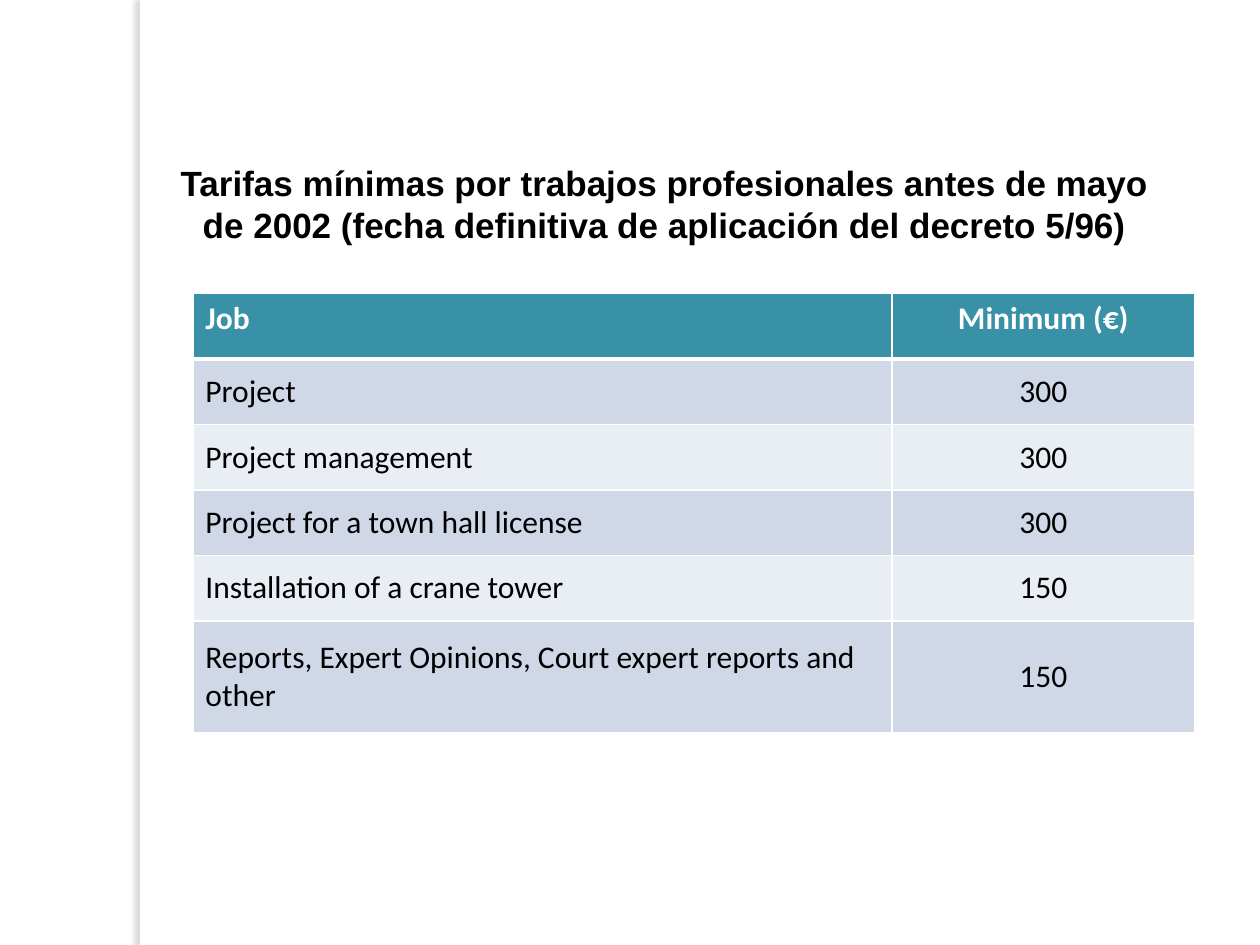
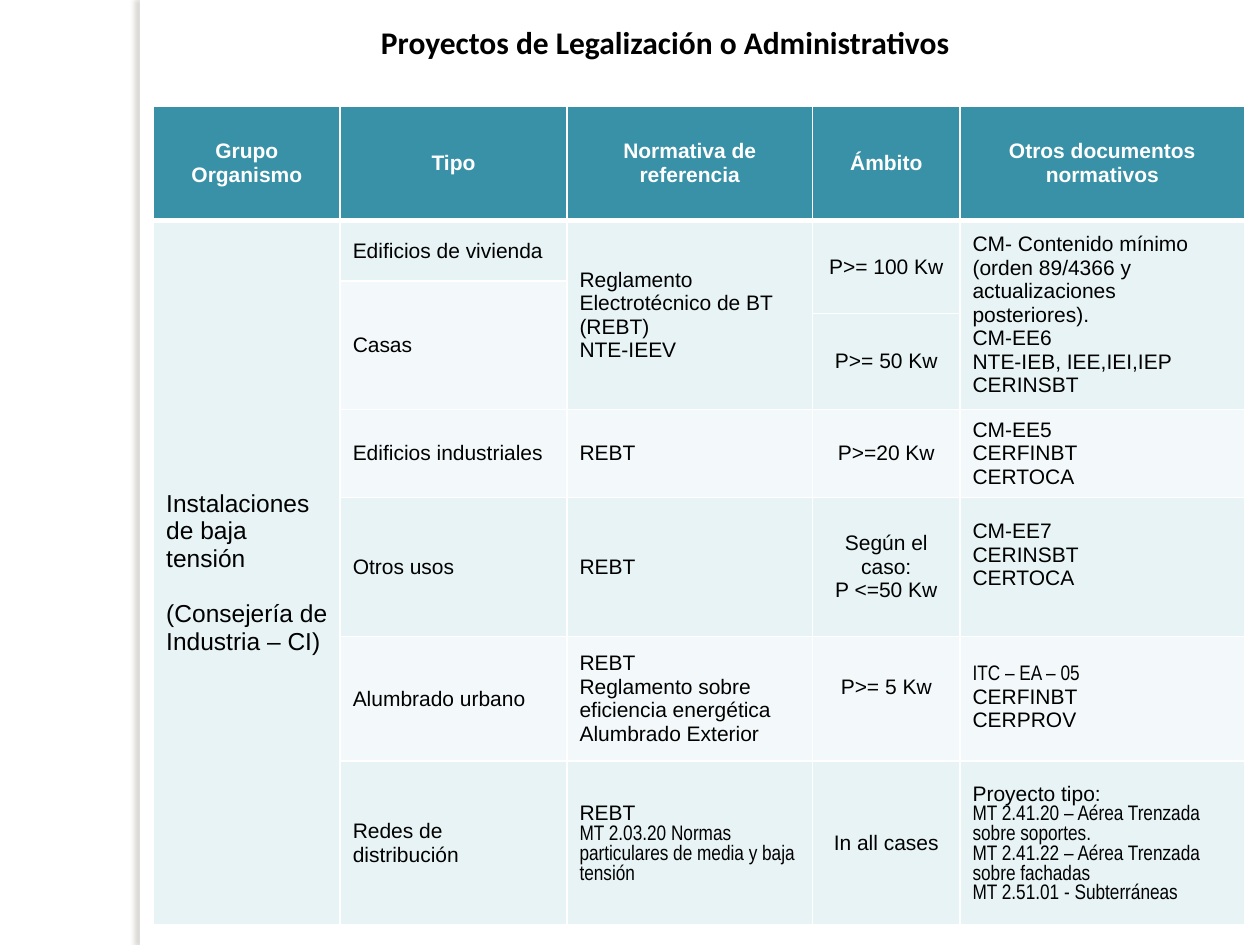
import pptx
import pptx.util
import pptx.dml.color
import pptx.enum.shapes
import pptx.enum.text
import lxml.etree
from dataclasses import dataclass

Pt = pptx.util.Pt
ALIGN = pptx.enum.text.PP_ALIGN
ANCHOR = pptx.enum.text.MSO_ANCHOR
NS = "http://schemas.openxmlformats.org/drawingml/2006/main"


@dataclass(frozen=True)
class Theme:
    white: str = "FFFFFF"
    black: str = "000000"
    head: str = "3891A7"
    shade: str = "706B5F"
    blues: tuple = ("E9EDF4", "D0D8E8")  # even rows, odd rows
    teals: tuple = ("F3F9FA", "E7F3F4")
    sans: str = "Arial"
    slim: str = "Arial Narrow"
    round: str = "Calibri"
    big: int = 20
    mid: int = 18
    group: int = 14
    small: int = 12
    thin: int = 1
    thick: int = 3


THEME = Theme()


def color(hex_code):
    return pptx.dml.color.RGBColor.from_string(hex_code)


def add_node(parent, tag, **attrs):
    node = lxml.etree.SubElement(parent, f"{{{NS}}}{tag}")
    for name, value in attrs.items():
        node.set(name, str(value))
    return node


def add_run(para, text, font, size, ink, bold):
    run = para.add_run()
    run.text = text
    run.font.name = font
    run.font.size = Pt(size)
    run.font.bold = bold
    run.font.color.rgb = color(ink)


# Left edge strip with its soft shadow, on every slide
def add_strip(slide, left, top, width, height):
    strip = slide.shapes.add_shape(
        pptx.enum.shapes.MSO_SHAPE.RECTANGLE,
        Pt(left), Pt(top), Pt(width), Pt(height))
    strip.fill.solid()
    strip.fill.fore_color.rgb = color(THEME.white)
    strip.line.fill.background()
    strip.shadow.inherit = False
    effects = strip._element.spPr.find(f"{{{NS}}}effectLst")
    shadow = add_node(effects, "outerShdw", blurRad=Pt(3), dist=Pt(3),
                      dir=180 * 60000, algn="tl", rotWithShape=0)
    tint = add_node(shadow, "srgbClr", val=THEME.shade)
    add_node(tint, "alpha", val=25000)


def add_title(slide, box, text, font, size):
    shape = slide.shapes.add_textbox(*map(Pt, box))
    frame = shape.text_frame
    frame.word_wrap = True
    frame.auto_size = pptx.enum.text.MSO_AUTO_SIZE.SHAPE_TO_FIT_TEXT
    para = frame.paragraphs[0]
    para.alignment = ALIGN.CENTER
    add_run(para, text, font, size, THEME.black, True)


# White rules: the one under the header is heavier
def set_rules(cell, row):
    props = cell._tc.get_or_add_tcPr()
    heavy = {"lnB": row == 0, "lnT": row == 1}
    for place, side in enumerate(("lnL", "lnR", "lnT", "lnB")):
        width = THEME.thick if heavy.get(side) else THEME.thin
        line = add_node(props, side, w=Pt(width))
        add_node(add_node(line, "solidFill"), "srgbClr", val=THEME.white)
        props.insert(place, line)


def fill_cell(cell, text, font, size, ink, bold, center, gap=0):
    for i, line in enumerate(text.split("\n")):
        frame = cell.text_frame
        para = frame.add_paragraph() if i else frame.paragraphs[0]
        para.alignment = ALIGN.CENTER if center else ALIGN.LEFT
        if i and gap:
            para.space_before = Pt(gap)
        # Standards codes are set in the narrow face
        face = THEME.slim if line.startswith(("MT ", "ITC ")) else font
        add_run(para, line, face, size, ink, bold)


def add_grid(slide, left, top, cols, rows, data, bands, font, size,
             mids, spans=()):
    """Build a banded table; mids are the columns with centred text."""
    table = slide.shapes.add_table(
        len(rows), len(cols), Pt(left), Pt(top),
        Pt(sum(cols)), Pt(sum(rows))).table
    table.horz_banding = False
    for col, width in zip(table.columns, cols):
        col.width = Pt(width)
    for row, height in zip(table.rows, rows):
        row.height = Pt(height)
    for r, texts in enumerate(data):
        for c, text in enumerate(texts):
            cell = table.cell(r, c)
            cell.fill.solid()
            cell.fill.fore_color.rgb = color(bands[r % 2] if r else THEME.head)
            cell.vertical_anchor = ANCHOR.MIDDLE
            set_rules(cell, r)
            if text:
                ink = THEME.black if r else THEME.white
                fill_cell(cell, text, font, size, ink, r == 0, c in mids[r > 0])
    for r, c, depth in spans:
        table.cell(r, c).merge(table.cell(r + depth - 1, c))
    return table


# Slide 1: minimum fees
FEES = [
    ("Job", "Minimum (€)"),
    ("Project", "300"),
    ("Project management", "300"),
    ("Project for a town hall license", "300"),
    ("Installation of a crane tower", "150"),
    ("Reports, Expert Opinions, Court expert reports and other", "150"),
]


def build_fees(slide):
    table = add_grid(slide, 110.2, 167.8, (399.6, 172.8),
                     [37.4] * 5 + [64], FEES, THEME.blues,
                     THEME.round, THEME.mid, ({1}, {1}))
    for cell in table.rows[0].cells:
        cell.vertical_anchor = ANCHOR.TOP
    add_title(slide, (93.6, 88.6, 572.4, 55.4),
              "Tarifas mínimas por trabajos profesionales antes de mayo de "
              "2002 (fecha definitiva de aplicación del decreto 5/96)",
              THEME.sans, THEME.big)


# Slide 2: legal projects; None is a cell covered by a span
RULES = [
    ("Grupo\nOrganismo", "Tipo", "Normativa de referencia", "Ámbito",
     "Otros documentos normativos"),
    (None, "Edificios de vivienda",
     "Reglamento Electrotécnico de BT (REBT)\nNTE-IEEV", "P>= 100 Kw",
     "CM- Contenido mínimo (orden 89/4366 y actualizaciones posteriores).\n"
     "CM-EE6\nNTE-IEB, IEE,IEI,IEP\nCERINSBT"),
    (None, "Casas", None, None, None),
    (None, None, None, "P>= 50 Kw", None),
    (None, "Edificios industriales", "REBT", "P>=20 Kw",
     "CM-EE5\nCERFINBT\nCERTOCA"),
    (None, "Otros usos", "REBT", "Según el caso:\nP <=50 Kw",
     "CM-EE7\nCERINSBT\nCERTOCA"),
    (None, "Alumbrado urbano",
     "REBT\nReglamento sobre eficiencia energética Alumbrado Exterior",
     "P>= 5 Kw", "ITC – EA – 05\nCERFINBT\nCERPROV"),
    (None, "Redes de distribución",
     "REBT\nMT 2.03.20 Normas particulares de media y baja tensión",
     "In all cases",
     "Proyecto tipo:\nMT 2.41.20 – Aérea Trenzada sobre soportes.\n"
     "MT 2.41.22 – Aérea Trenzada sobre fachadas\n"
     "MT 2.51.01 - Subterráneas"),
]
# Row, column, rows covered
SPANS = [(1, 0, 7), (1, 2, 3), (1, 3, 2), (1, 4, 3), (2, 1, 2)]


def build_rules(slide):
    table = add_grid(slide, 87.8, 60.5, (106.6, 129.6, 140.4, 84.2, 162.7),
                     (65.5, 34.6, 18.7, 54.7, 50.4, 79.2, 71.3, 93.6),
                     RULES, THEME.teals, THEME.sans, THEME.small,
                     (set(range(5)), {3}), SPANS)
    fill_cell(table.cell(1, 0),
              "Instalaciones de baja tensión\n(Consejería de Industria – CI)",
              THEME.sans, THEME.group, THEME.black, False, False, gap=16)
    # Two cells sit a little above the middle
    for r, c in ((5, 4), (6, 3)):
        table.cell(r, c).margin_bottom = Pt(17.4)
    add_title(slide, (99.4, 9.4, 561.6, 28.8),
              "Proyectos de Legalización o Administrativos",
              THEME.round, THEME.mid)


def main():
    deck = pptx.Presentation()
    deck.slide_width, deck.slide_height = Pt(720), Pt(540)
    for build in (build_fees, build_rules):
        slide = deck.slides.add_slide(deck.slide_layouts[6])
        add_strip(slide, 79.9, 0, 5.8, 540)
        build(slide)
    deck.save("out.pptx")


if __name__ == "__main__":
    main()
